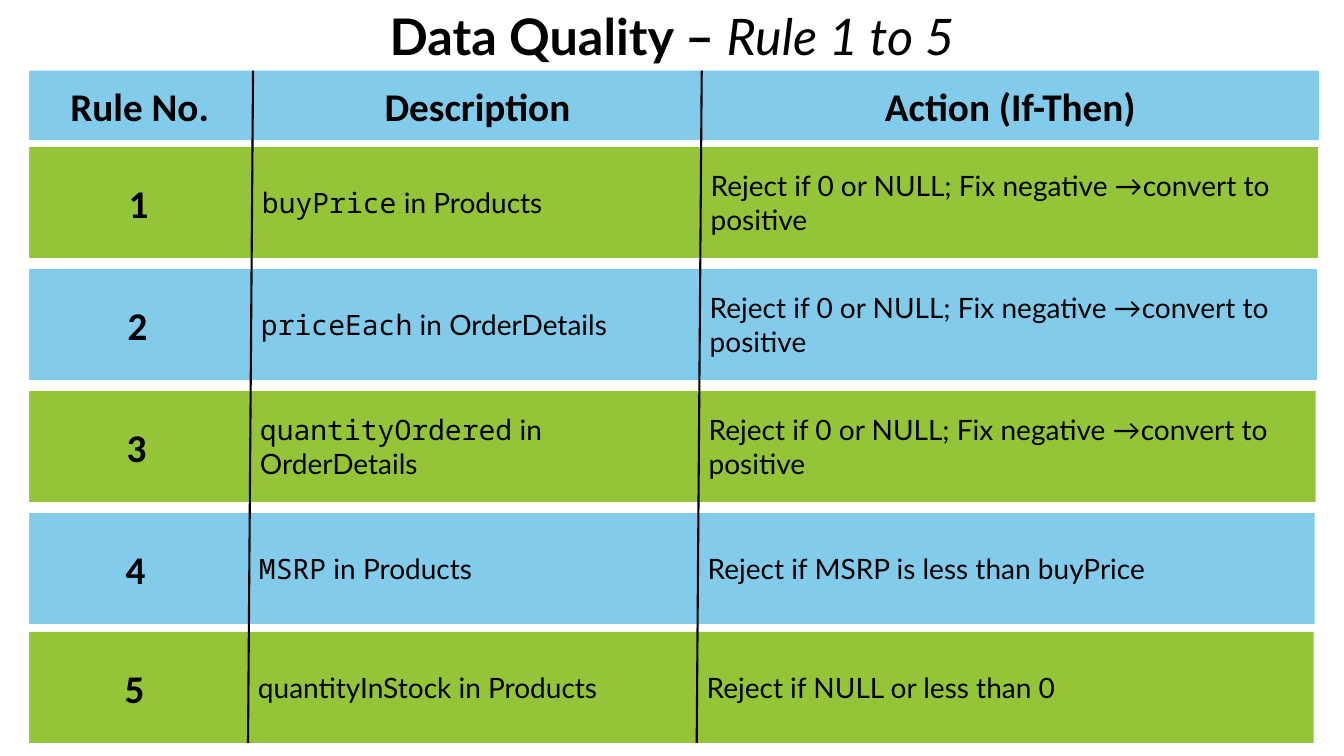
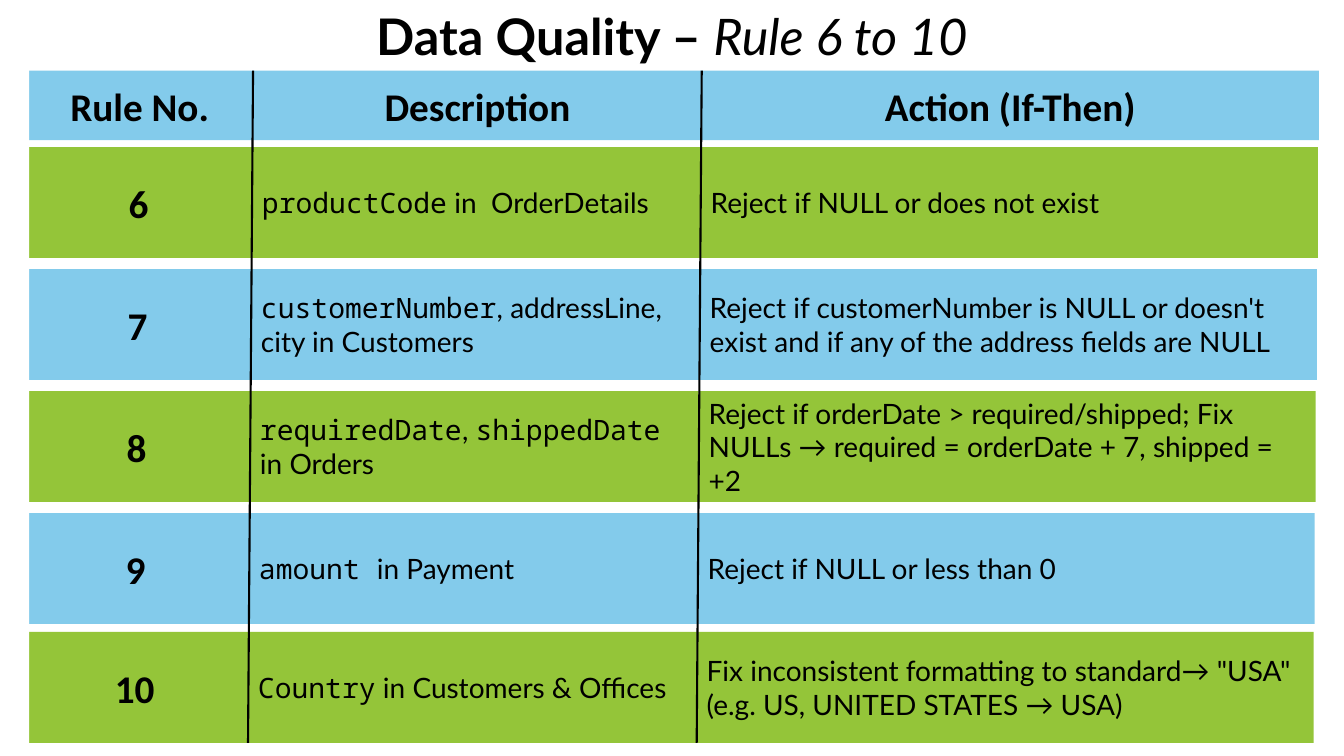
from dataclasses import dataclass
from itertools import accumulate

from lxml.etree import SubElement
from pptx import Presentation
from pptx.dml.color import RGBColor as RGB
from pptx.enum.shapes import MSO_CONNECTOR as Conn, MSO_SHAPE as Shape
from pptx.enum.text import MSO_ANCHOR as Anchor, MSO_AUTO_SIZE as Auto, PP_ALIGN as Align
from pptx.oxml.ns import qn
from pptx.util import Inches, Pt


@dataclass(frozen=True)
class Theme:
    blue: str = "83CBEB"
    green: str = "94C539"
    black: str = "000000"
    white: str = "FFFFFF"
    head_font: str = "Calibri"
    body_font: str = "Lato"
    code_font: str = "Noto Sans Mono"
    title_size: int = 36
    head_size: int = 28
    body_size: int = 20
    line_width: float = 1.5


T = Theme()
W, H = 13.33, 7.5
TITLE_BOX = (0, 0, W, 0.7)
TABLE_BOX = (0.26, 0.7, 12.82, 6.67)
MARGIN_BOX = (0, 0, 0.29, H)
COLUMNS = (2.25, 4.45, 6.12)
ROW_TOPS = (0, 0.76, 1.97, 3.18, 4.39, 5.57)
HEAD_HEIGHT, ROW_HEIGHT = 0.69, 1.1
DRIFT = 0.01

HEADINGS = ("Rule No.", "Description", "Action (If-Then)")
FIX_SIGN = "Reject if 0 or NULL; Fix negative →convert to positive"
SLIDES = (
    (1, (
        ("`buyPrice` in Products", FIX_SIGN),
        ("`priceEach` in OrderDetails", FIX_SIGN),
        ("`quantityOrdered` in OrderDetails", FIX_SIGN),
        ("`MSRP` in Products", "Reject if MSRP is less than buyPrice"),
        ("quantityInStock in Products", "Reject if NULL or less than 0"),
    )),
    (6, (
        ("`productCode` in  OrderDetails", "Reject if NULL or does not exist"),
        ("`customerNumber`, addressLine, city in Customers",
         "Reject if customerNumber is NULL or doesn't exist and if any of "
         "the address fields are NULL"),
        ("`requiredDate`, `shippedDate `in Orders",
         "Reject if orderDate > required/shipped; Fix NULLs → required = "
         "orderDate + 7, shipped = +2"),
        ("`amount `in Payment", "Reject if NULL or less than 0"),
        ("`Country` in Customers & Offices",
         'Fix inconsistent formatting to standard→ "USA" '
         "(e.g. US, UNITED STATES → USA)"),
    )),
)


def add_text(p, text, font=T.body_font, size=T.body_size, bold=False, italic=False,
             align=Align.LEFT):
    p.alignment = align
    for i, part in enumerate(text.split("`")):
        if part:
            r = p.add_run()
            r.text = part
            r.font.name = T.code_font if i % 2 else font
            r.font.size = Pt(size)
            r.font.bold, r.font.italic = bold, italic
            r.font.color.rgb = RGB.from_string(T.black)


def add_rect(s, box, fill):
    sp = s.shapes.add_shape(Shape.RECTANGLE, *map(Inches, box))
    sp.shadow.inherit = False
    sp.fill.solid()
    sp.fill.fore_color.rgb = RGB.from_string(fill)
    sp.line.fill.background()
    return sp


def add_cell(s, box, fill, text, **fmt):
    tf = add_rect(s, box, fill).text_frame
    tf.word_wrap = True
    tf.vertical_anchor = Anchor.MIDDLE
    add_text(tf.paragraphs[0], text, **fmt)


def add_divider(s, x1, y1, x2, y2):
    line = s.shapes.add_connector(Conn.STRAIGHT, *map(Inches, (x1, y1, x2, y2)))
    line.line.color.rgb = RGB.from_string(T.black)
    line.line.width = Pt(T.line_width)
    SubElement(line.element.spPr, qn("a:effectLst"))


def add_title(s, box, name, subtitle):
    sp = s.shapes.title
    sp.left, sp.top, sp.width, sp.height = map(Inches, box)
    tf = sp.text_frame
    tf.word_wrap = True
    tf.auto_size = Auto.NONE
    tf.vertical_anchor = Anchor.TOP
    p = tf.paragraphs[0]
    add_text(p, name, size=T.title_size, bold=True, align=Align.CENTER)
    add_text(p, subtitle, size=T.title_size, italic=True, align=Align.CENTER)


def add_rules(s, box, first, rules):
    left, top, _, height = box
    column_lefts = [left + x for x in accumulate(COLUMNS[:-1], initial=0)]
    heading = dict(font=T.head_font, size=T.head_size, bold=True, align=Align.CENTER)
    rows = [HEADINGS] + [(str(n), *rule) for n, rule in enumerate(rules, first)]
    for i, (row, y) in enumerate(zip(rows, ROW_TOPS)):
        fill = T.green if i % 2 else T.blue
        row_height = ROW_HEIGHT if i else HEAD_HEIGHT
        for j, (text, x, width) in enumerate(zip(row, column_lefts, COLUMNS)):
            fmt = heading if i == 0 or j == 0 else {}
            add_cell(s, (x - i * DRIFT, top + y, width, row_height), fill, text, **fmt)
    for x in column_lefts[1:]:
        add_divider(s, x, top, x - len(rules) * DRIFT, top + height)


def add_rule_slide(prs, first, rules):
    s = prs.slides.add_slide(prs.slide_layouts[5])
    add_title(s, TITLE_BOX, "Data Quality – ", f"Rule {first} to {first + len(rules) - 1}")
    add_rules(s, TABLE_BOX, first, rules)
    add_rect(s, MARGIN_BOX, T.white)


def main():
    prs = Presentation()
    prs.slide_width, prs.slide_height = Inches(W), Inches(H)
    for first, rules in SLIDES:
        add_rule_slide(prs, first, rules)
    prs.save("out.pptx")


if __name__ == "__main__":
    main()
